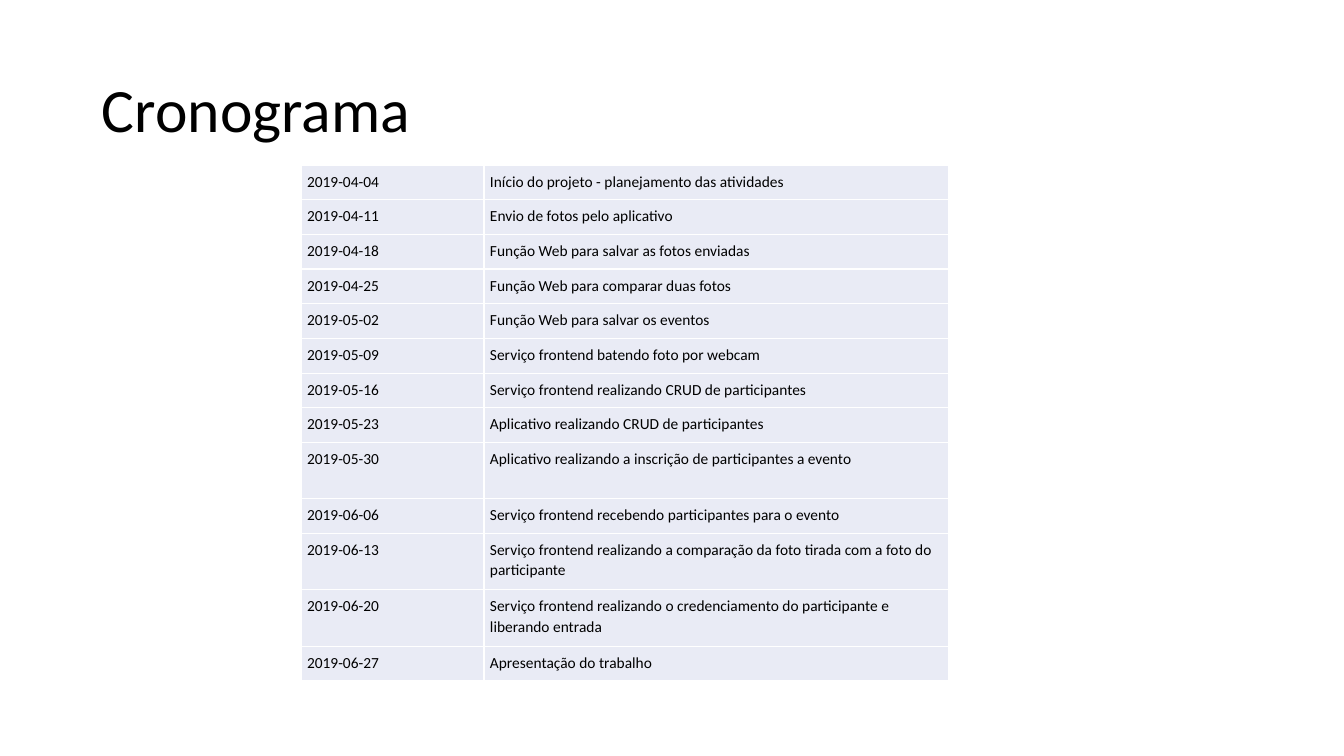
from lxml import etree
from pptx import Presentation
from pptx.dml.color import RGBColor
from pptx.enum.text import MSO_ANCHOR
from pptx.oxml.ns import qn
from pptx.util import Emu, Pt

MIDDLE = MSO_ANCHOR.MIDDLE
TOP = MSO_ANCHOR.TOP
BLACK = RGBColor(0x00, 0x00, 0x00)
WHITE = RGBColor(0xFF, 0xFF, 0xFF)
LAVENDER = RGBColor(0xE9, 0xEB, 0xF5)
FONT = "Calibri"
PIXELS_PER_INCH = 100.8
SHORT_ROW, TALL_ROW = 8, 13
TALL_DATES = {"2019-05-30", "2019-06-13", "2019-06-20"}
DATE_WIDTH, ACTIVITY_WIDTH = 183, 465
SCHEDULE_HEIGHT = 516
CELL_MARGIN = 6

SCHEDULE = [
    ("2019-04-04", "Início do projeto - planejamento das atividades"),
    ("2019-04-11", "Envio de fotos pelo aplicativo"),
    ("2019-04-18", "Função Web para salvar as fotos enviadas"),
    ("2019-04-25", "Função Web para comparar duas fotos"),
    ("2019-05-02", "Função Web para salvar os eventos"),
    ("2019-05-09", "Serviço frontend batendo foto por webcam"),
    ("2019-05-16", "Serviço frontend realizando CRUD de participantes"),
    ("2019-05-23", "Aplicativo realizando CRUD de participantes"),
    ("2019-05-30", "Aplicativo realizando a inscrição de participantes a evento"),
    ("2019-06-06", "Serviço frontend recebendo participantes para o evento"),
    ("2019-06-13", "Serviço frontend realizando a comparação da foto tirada com a foto do participante"),
    ("2019-06-20", "Serviço frontend realizando o credenciamento do participante e liberando entrada"),
    ("2019-06-27", "Apresentação do trabalho"),
]


def px(pixels):
    """Turn pixels into EMU."""
    return Emu(round(pixels * 914400 / PIXELS_PER_INCH))


def write(frame, text, size, line_spacing):
    """Fill a text frame with one formatted paragraph."""
    frame.text = text
    paragraph = frame.paragraphs[0]
    paragraph.line_spacing = line_spacing
    font = paragraph.runs[0].font
    font.name = FONT
    font.size = Pt(size)
    font.color.rgb = BLACK


def add_title(slide, text, left, top, width, height):
    """Add the slide title, centred vertically in its box."""
    title = slide.shapes.add_textbox(px(left), px(top), px(width), px(height))
    frame = title.text_frame
    frame.word_wrap = True
    frame.vertical_anchor = MIDDLE
    write(frame, text, 44, 0.9)


def add_borders(cell):
    """Draw a thin white line on each side of a cell."""
    properties = cell._tc.get_or_add_tcPr()
    for side in ("a:lnL", "a:lnR", "a:lnT", "a:lnB"):
        line = etree.SubElement(properties, qn(side), w=str(Pt(1)))
        fill = etree.SubElement(line, qn("a:solidFill"))
        etree.SubElement(fill, qn("a:srgbClr"), val=str(WHITE))


def fill_cell(cell, text):
    """Write and style one schedule cell."""
    cell.margin_left = cell.margin_right = px(CELL_MARGIN)
    cell.margin_top = cell.margin_bottom = px(CELL_MARGIN)
    cell.vertical_anchor = TOP
    add_borders(cell)
    cell.fill.solid()
    cell.fill.fore_color.rgb = LAVENDER
    write(cell.text_frame, text, 11, 1.07)


def add_schedule(slide, entries, left, top):
    """Add the table of dates and activities."""
    widths = (DATE_WIDTH, ACTIVITY_WIDTH)
    frame = slide.shapes.add_table(
        len(entries), len(widths), px(left), px(top), px(sum(widths)), px(SCHEDULE_HEIGHT)
    )
    schedule = frame.table
    schedule.first_row = False
    schedule.horz_banding = False
    for column, width in zip(schedule.columns, widths):
        column.width = px(width)
    weights = [TALL_ROW if date in TALL_DATES else SHORT_ROW for date, _ in entries]
    for row, entry, weight in zip(schedule.rows, entries, weights):
        row.height = px(SCHEDULE_HEIGHT * weight / sum(weights))
        for cell, text in zip(row.cells, entry):
            fill_cell(cell, text)


def main():
    """Build and save the schedule slide."""
    presentation = Presentation()
    presentation.slide_width = px(1344)
    presentation.slide_height = px(756)
    slide = presentation.slides.add_slide(presentation.slide_layouts[6])
    add_title(slide, "Cronograma", 92, 40, 1159, 146)
    add_schedule(slide, SCHEDULE, 301, 165)
    presentation.save("out.pptx")


main()
